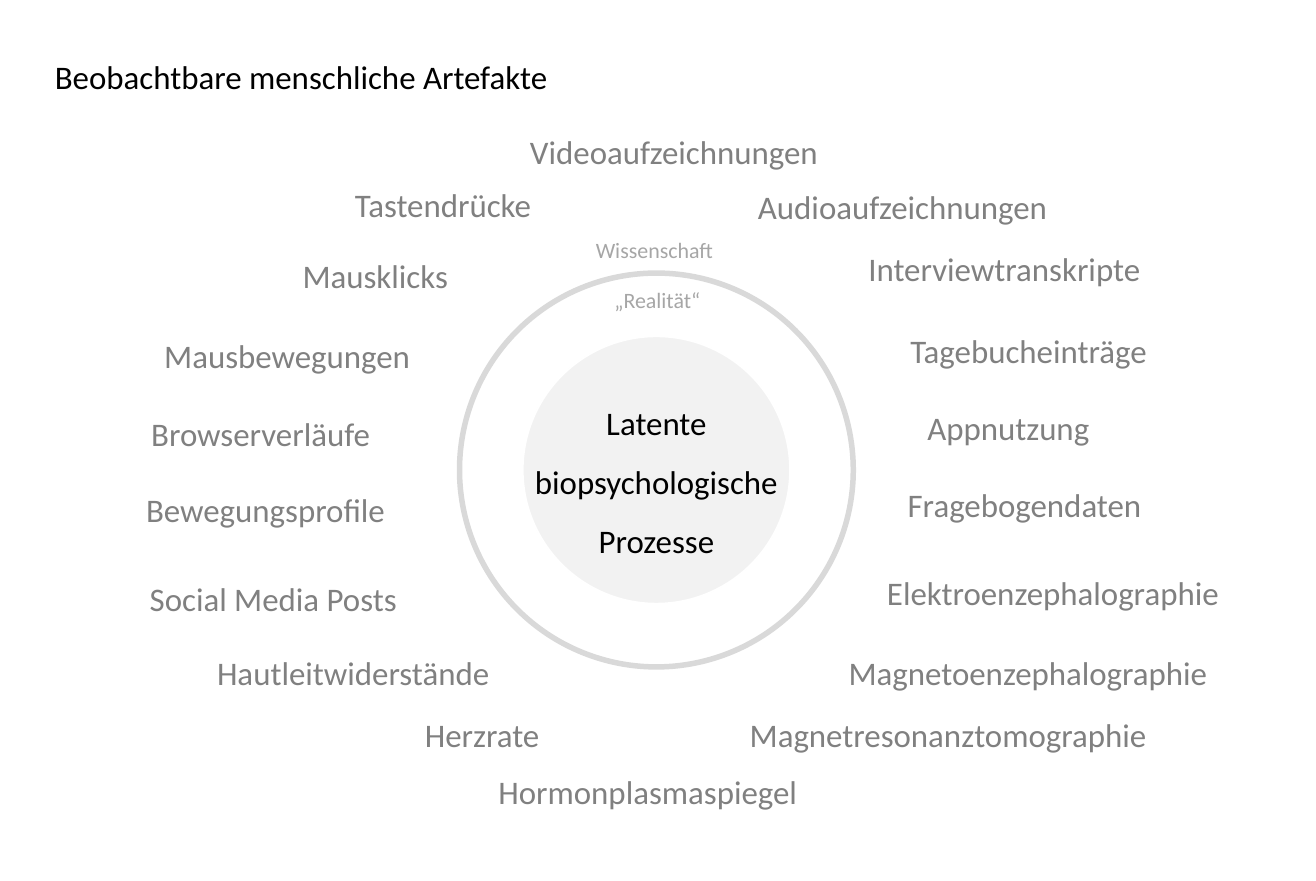
import pptx
import pptx.dml.color
import pptx.enum.shapes
import pptx.enum.text
import pptx.util

Cm = pptx.util.Cm
ALIGN = pptx.enum.text.PP_ALIGN

COLORS = {
    "ink": "000000",
    "artefact": "808080",
    "boundary_label": "A6A6A6",
    "ring": "D9D9D9",
    "core": "F2F2F2",
    "paper": "FFFFFF",
}
CENTER_X, CENTER_Y = 12.67, 9.07

# Text, left, top and width in cm, clockwise from the top
ARTEFACTS = [
    ("Videoaufzeichnungen", 9.98, 2.41, 6.2),
    ("Audioaufzeichnungen", 14.38, 3.48, 6.25),
    ("Interviewtranskripte", 16.51, 4.67, 5.87),
    ("Tagebucheinträge", 17.32, 6.25, 5.38),
    ("Appnutzung", 17.65, 7.75, 3.78),
    ("Fragebogendaten", 17.27, 9.22, 5.21),
    ("Elektroenzephalographie", 16.87, 10.92, 7.11),
    ("Magnetoenzephalographie", 16.13, 12.47, 7.52),
    ("Magnetresonanztomographie", 14.22, 13.67, 8.38),
    ("Hormonplasmaspiegel", 9.37, 14.76, 6.35),
    ("Herzrate", 7.95, 13.67, 2.87),
    ("Hautleitwiderstände", 3.94, 12.47, 5.89),
    ("Social Media Posts", 2.64, 11.05, 5.72),
    ("Bewegungsprofile", 2.57, 9.32, 5.26),
    ("Browserverläufe", 2.67, 7.85, 4.85),
    ("Mausbewegungen", 2.92, 6.35, 5.31),
    ("Mausklicks", 5.59, 4.8, 3.45),
    ("Tastendrücke", 6.6, 3.43, 4.22),
]


def rgb(name):
    return pptx.dml.color.RGBColor.from_string(COLORS[name])


class ArtefactMap:
    font_name = "Calibri"

    def __init__(self, slide):
        self.slide = slide

    def circle(self, diameter, line, line_width, fill=None):
        """Draw a circle around the shared centre."""
        radius = diameter / 2
        disc = self.slide.shapes.add_shape(
            pptx.enum.shapes.MSO_SHAPE.OVAL,
            Cm(CENTER_X - radius), Cm(CENTER_Y - radius), Cm(diameter), Cm(diameter))
        disc.shadow.inherit = False
        if fill:
            disc.fill.solid()
            disc.fill.fore_color.rgb = rgb(fill)
        else:
            disc.fill.background()
        disc.line.color.rgb = rgb(line)
        disc.line.width = pptx.util.Pt(line_width)

    def text(self, lines, left, top, width, height=1.02, color="ink", size=18,
             wrap=False, parent=None, **paragraph_format):
        """Add a text box to parent, or to the slide, one paragraph per line."""
        shapes = (parent or self.slide).shapes
        box = shapes.add_textbox(Cm(left), Cm(top), Cm(width), Cm(height))
        frame = box.text_frame
        frame.word_wrap = wrap
        frame.auto_size = pptx.enum.text.MSO_AUTO_SIZE.SHAPE_TO_FIT_TEXT
        frame.text = "\n".join(lines)
        font_format = {"name": self.font_name, "size": pptx.util.Pt(size)}
        for paragraph in frame.paragraphs:
            for key, value in paragraph_format.items():
                setattr(paragraph, key, value)
            font = paragraph.runs[0].font
            for key, value in font_format.items():
                setattr(font, key, value)
            font.color.rgb = rgb(color)


def main():
    presentation = pptx.Presentation()
    presentation.slide_width, presentation.slide_height = Cm(25.4), Cm(17)
    artefact_map = ArtefactMap(
        presentation.slides.add_slide(presentation.slide_layouts[6]))

    artefact_map.circle(5.16, line="paper", line_width=1, fill="core")
    artefact_map.text(["Latente", "biopsychologische", "Prozesse"],
                      CENTER_X - 3, 7.26, 6, 3.63, wrap=True,
                      alignment=ALIGN.CENTER, line_spacing=1.5)
    artefact_map.circle(7.6, line="ring", line_width=3)

    artefacts = artefact_map.slide.shapes.add_group_shape()
    for artefact, left, top, width in ARTEFACTS:
        artefact_map.text([artefact], left, top, width,
                          color="artefact", parent=artefacts)

    artefact_map.text(["Beobachtbare menschliche Artefakte"], 0.81, 0.97, 10.52)
    for side, left, top, width in [("Wissenschaft", 11.25, 4.45, 2.9),
                                   ("„Realität“", 11.61, 5.41, 2.21)]:
        artefact_map.text([side], left, top, width, 0.76,
                          color="boundary_label", size=12)

    presentation.save("out.pptx")


if __name__ == "__main__":
    main()
